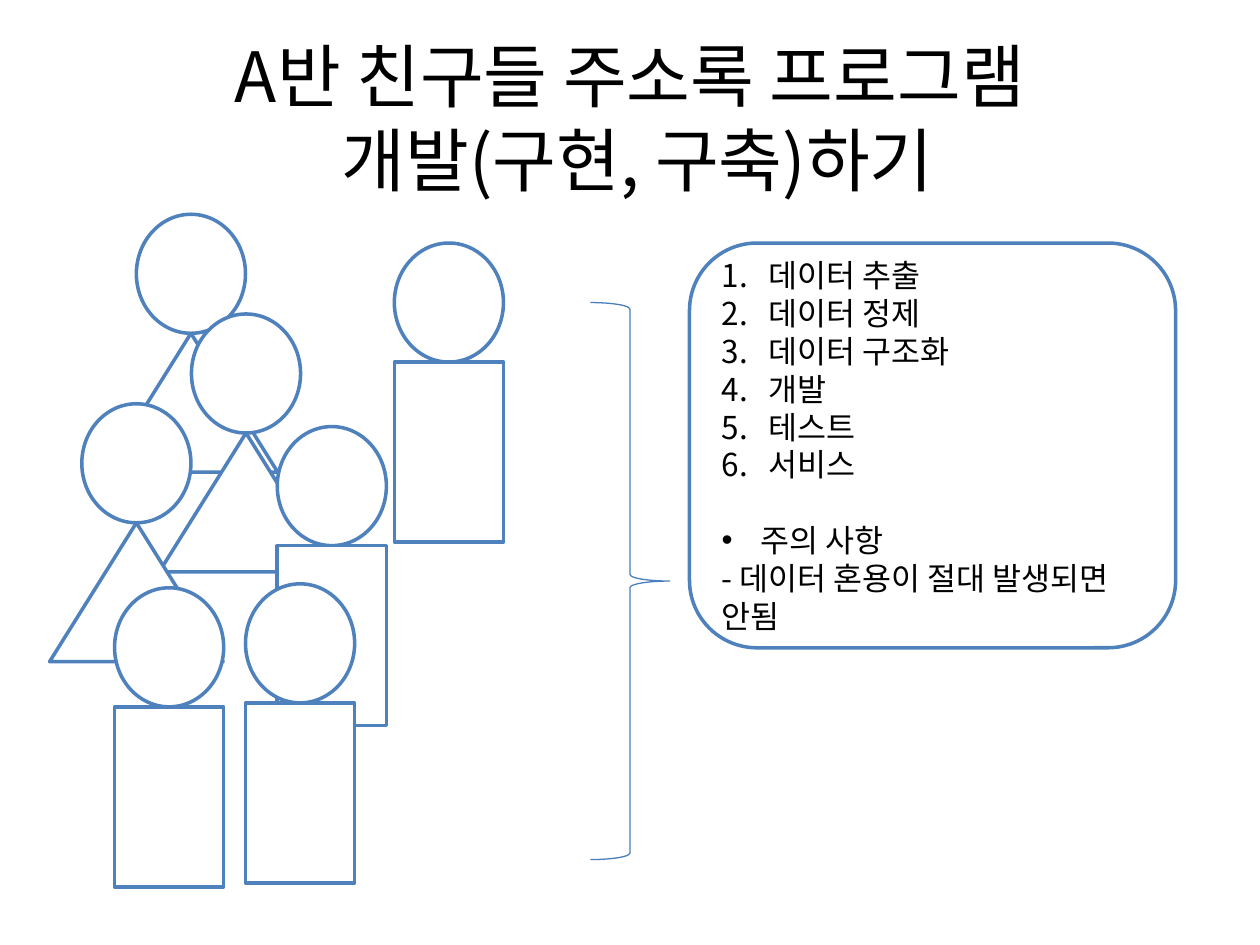
from lxml.etree import SubElement
from pptx import Presentation
from pptx.dml.color import RGBColor
from pptx.enum.shapes import MSO_SHAPE
from pptx.enum.text import MSO_ANCHOR, PP_ALIGN
from pptx.oxml.ns import qn
from pptx.util import Cm, Pt

BLACK = RGBColor(0, 0, 0)
WHITE = RGBColor(255, 255, 255)
BLUE = RGBColor(0x4F, 0x81, 0xBD)
BRACE = RGBColor(0x4B, 0x7E, 0xBC)
FONT = "Noto Sans CJK KR"

FRIENDS = [
    (2.75, 4.32, "dress"),
    (3.86, 6.33, "dress"),
    (1.65, 8.14, "dress"),
    (7.95, 4.9, "suit"),
    (5.59, 8.6, "suit"),
    (2.31, 11.85, "suit"),
    (4.95, 11.77, "suit"),
]
STEPS = ["데이터 추출", "데이터 정제", "데이터 구조화", "개발", "테스트", "서비스"]


def add_form(slide, kind, left, top, width, height, fill=WHITE, line=BLUE, weight=2):
    shape = slide.shapes.add_shape(kind, Cm(left), Cm(top), Cm(width), Cm(height))
    shape.shadow.inherit = False
    if fill is None:
        shape.fill.background()
    else:
        shape.fill.solid()
        shape.fill.fore_color.rgb = fill
    shape.line.color.rgb = line
    shape.line.width = Pt(weight)
    return shape


def add_friend(slide, left, top, style):
    add_form(slide, MSO_SHAPE.OVAL, left, top, 2.2, 2.4)
    if style == "dress":
        add_form(slide, MSO_SHAPE.ISOSCELES_TRIANGLE, left - 0.65, top + 2.4, 3.5, 2.8)
    else:
        add_form(slide, MSO_SHAPE.RECTANGLE, left, top + 2.4, 2.2, 3.63)


def set_bullet(para, tag, indent, **attrs):
    props = para._p.get_or_add_pPr()
    props.set("marL", str(Cm(indent)))
    props.set("indent", str(-Cm(indent)))
    if tag == "a:buChar":
        SubElement(props, qn("a:buFont"), typeface="Arial")
    SubElement(props, qn(tag), **attrs)


def write(para, text, size=18, pitch=21.6, align=PP_ALIGN.LEFT, before=0):
    para.text = text
    para.alignment = align
    para.line_spacing = Pt(pitch)
    if before:
        para.space_before = Pt(before)
    for run in para.runs:
        run.font.size = Pt(size)
        run.font.color.rgb = BLACK
        run.font.name = FONT
        SubElement(run.font._element, qn("a:ea"), typeface=FONT)


def add_title(slide):
    box = slide.shapes.add_textbox(Cm(1.27), Cm(0.76), Cm(22.86), Cm(3.18))
    frame = box.text_frame
    frame.word_wrap = True
    frame.vertical_anchor = MSO_ANCHOR.MIDDLE
    write(frame.paragraphs[0], "A반 친구들 주소록 프로그램\v 개발(구현, 구축)하기",
          size=39.6, pitch=48, align=PP_ALIGN.CENTER)


def add_plan(slide):
    panel = add_form(slide, MSO_SHAPE.ROUNDED_RECTANGLE, 13.9, 4.9, 9.8, 8.16)
    frame = panel.text_frame
    frame.word_wrap = True
    frame.vertical_anchor = MSO_ANCHOR.MIDDLE
    for i, step in enumerate(STEPS):
        para = frame.add_paragraph() if i else frame.paragraphs[0]
        set_bullet(para, "a:buAutoNum", 0.95, type="arabicPeriod")
        write(para, step)
    note = frame.add_paragraph()
    set_bullet(note, "a:buChar", 0.79, char="•")
    write(note, "주의 사항", before=21.6)
    write(frame.add_paragraph(), "- 데이터 혼용이 절대 발생되면 안됨")


def main():
    deck = Presentation()
    deck.slide_width, deck.slide_height = Cm(25.4), Cm(19.05)
    slide = deck.slides.add_slide(deck.slide_layouts[6])
    add_title(slide)
    for friend in FRIENDS:
        add_friend(slide, *friend)
    add_form(slide, MSO_SHAPE.RIGHT_BRACE, 11.9, 6.1, 1.6, 11.23,
             fill=None, line=BRACE, weight=0.75)
    add_plan(slide)
    deck.save("out.pptx")


if __name__ == "__main__":
    main()
